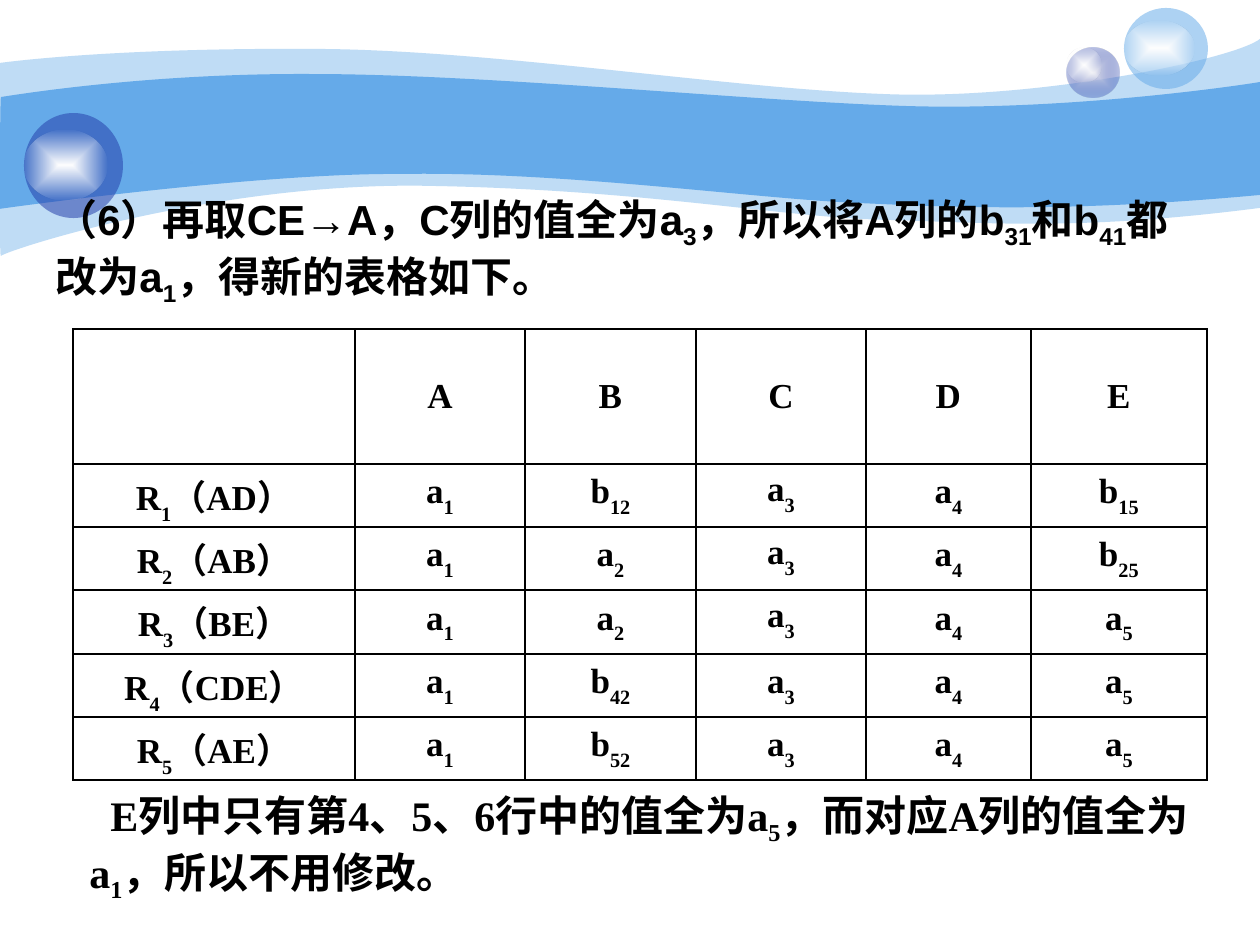
import pptx
import pptx.util
import pptx.dml.color
import pptx.enum.shapes
import pptx.enum.text
import pptx.oxml
import pptx.oxml.ns

PX = 914400 / 126
NS = pptx.oxml.ns.nsdecls("a")
COLORS = {"sky": "65AAE9", "navy": "233DA9", "pearl": "E1E2ED", "white": "FFFFFF", "ink": "000000"}


def paint(sp, stops):
    sp.shadow.inherit = False
    sp.line.fill.background()
    clr = [f'<a:srgbClr val="{COLORS[name]}"><a:alpha val="{alpha * 1000}"/></a:srgbClr>' for name, alpha in stops]
    if len(clr) == 1:
        xml = f"<a:solidFill {NS}>{clr[0]}</a:solidFill>"
    else:
        xml = (f'<a:gradFill {NS} rotWithShape="1"><a:gsLst><a:gs pos="0">{clr[0]}</a:gs>'
               f'<a:gs pos="100000">{clr[1]}</a:gs></a:gsLst><a:path path="shape">'
               '<a:fillToRect l="50000" t="50000" r="50000" b="50000"/></a:path></a:gradFill>')
    sp.fill.background()
    old = sp._element.spPr.find(pptx.oxml.ns.qn("a:noFill"))
    sp._element.spPr.replace(old, pptx.oxml.parse_xml(xml))


def write(p, text, font, size, drop, left=0, indent=0):
    p.font.name = font
    p.font.size = pptx.util.Pt(size)
    p.font.bold = True
    p.font.color.rgb = pptx.dml.color.RGBColor.from_string(COLORS["ink"])
    pPr = p._p.get_or_add_pPr()
    pPr.set("marL", str(int(left * PX)))
    pPr.set("indent", str(int(indent * PX)))
    for i, part in enumerate(text.split("|")):
        r = p.add_run()
        r.text = part
        if i % 2:
            r.font._element.set("baseline", str(-drop * 1000))


prs = pptx.Presentation()
prs.slide_width = int(1260 * PX)
prs.slide_height = int(945 * PX)
s = prs.slides.add_slide(prs.slide_layouts[6])

waves = [
    (41, (0, 63), [
        [(30, 59), (135, 48), (311, 49)], [(486, 49), (724, 88), (881, 94)],
        [(1036, 101), (1235, 59), (1260, 39)], [(1260, 208)],
        [(1081, 231), (992, 223), (888, 220)], [(784, 218), (649, 190), (432, 186)],
        [(217, 181), (5, 251), (1, 256)], [(-1, 262), (0, 94), (0, 63)]]),
    (100, (1, 97), [
        [(3, 97), (139, 73), (312, 74)], [(486, 74), (750, 101), (905, 106)],
        [(1060, 111), (1230, 87), (1260, 82)], [(1260, 195)],
        [(1075, 212), (964, 208), (859, 203)], [(755, 199), (563, 171), (399, 174)],
        [(256, 173), (-3, 209), (-1, 209)], [(0, 209), (0, 97), (1, 97)]]),
]
for alpha, start, segments in waves:
    fb = s.shapes.build_freeform(int(start[0] * PX), int(start[1] * PX))
    fb.add_line_segments([(int(seg[-1][0] * PX), int(seg[-1][1] * PX)) for seg in segments], close=True)
    sp = fb.convert_to_shape()
    lines = list(sp._element.iter(pptx.oxml.ns.qn("a:lnTo")))
    for line, seg in zip(lines, segments):
        if len(seg) == 3:
            pts = "".join(f'<a:pt x="{int(x * PX) - sp.left}" y="{int(y * PX) - sp.top}"/>' for x, y in seg)
            curve = pptx.oxml.parse_xml(f"<a:cubicBezTo {NS}>{pts}</a:cubicBezTo>")
            line.getparent().replace(line, curve)
    paint(sp, [("sky", alpha)])

glow = [("white", 100), ("white", 0)]
spheres = [
    ((1067, 48, 53, 50), [("pearl", 100), ("navy", 31)], (1067, 48, 35, 34)),
    ((1124, 8, 84, 81), [("sky", 53)], (1124, 21, 70, 54)),
    ((24, 113, 99, 105), [("navy", 53)], (24, 130, 83, 70)),
]
for ball, stops, shine in spheres:
    group = s.shapes.add_group_shape()
    for box, fill in ((ball, stops), (shine, glow)):
        sp = group.shapes.add_shape(pptx.enum.shapes.MSO_SHAPE.OVAL, *[int(v * PX) for v in box])
        paint(sp, fill)

notes = [
    ((43, 193, 1166, 115), "Arial", 0,
     "（6）再取CE→A，C列的值全为a|3|，所以将A列的b|31|和b|41|都改为a|1|，得新的表格如下。"),
    ((77, 789, 1130, 115), "Times New Roman", 21,
     "E列中只有第4、5、6行中的值全为a|5|，而对应A列的值全为a|1|，所以不用修改。"),
]
for box, font, indent, text in notes:
    tf = s.shapes.add_textbox(*[int(v * PX) for v in box]).text_frame
    tf.word_wrap = True
    tf.auto_size = pptx.enum.text.MSO_AUTO_SIZE.SHAPE_TO_FIT_TEXT
    tf.vertical_anchor = pptx.enum.text.MSO_ANCHOR.MIDDLE
    write(tf.paragraphs[0], text, font, 24, 25, indent=indent)

rows = [
    ["", "A", "B", "C", "D", "E"],
    ["R|1|（AD）", "a|1", "b|12", "a|3", "a|4", "b|15"],
    ["R|2|（AB）", "a|1", "a|2", "a|3", "a|4", "b|25"],
    ["R|3|（BE）", "a|1", "a|2", "a|3", "a|4", "a|5"],
    ["R|4|（CDE）", "a|1", "b|42", "a|3", "a|4", "a|5"],
    ["R|5|（AE）", "a|1", "b|52", "a|3", "a|4", "a|5"],
]
widths = [282, 170, 171, 170, 165, 176]
heights = [135, 63, 63, 64, 63, 63]
box = (73, 329, sum(widths), sum(heights))
table = s.shapes.add_table(len(rows), len(widths), *[int(v * PX) for v in box]).table
table.first_row = False
table.horz_banding = False
for col, width in zip(table.columns, widths):
    col.width = int(width * PX)
for row, height in zip(table.rows, heights):
    row.height = int(height * PX)
for i, texts in enumerate(rows):
    for j, text in enumerate(texts):
        cell = table.cell(i, j)
        top = j == 3 and i in (1, 2, 3)
        cell.vertical_anchor = pptx.enum.text.MSO_ANCHOR.TOP if top else pptx.enum.text.MSO_ANCHOR.MIDDLE
        for side in "LRTB":
            cell._tc.get_or_add_tcPr().append(pptx.oxml.parse_xml(
                f'<a:ln{side} {NS} w="12700"><a:solidFill><a:srgbClr val="{COLORS["ink"]}"/>'
                f"</a:solidFill></a:ln{side}>"))
        cell.fill.background()
        if text:
            p = cell.text_frame.paragraphs[0]
            p.alignment = pptx.enum.text.PP_ALIGN.CENTER
            write(p, text, "Times New Roman", 20, 30, left=48, indent=-48)

prs.save("out.pptx")
